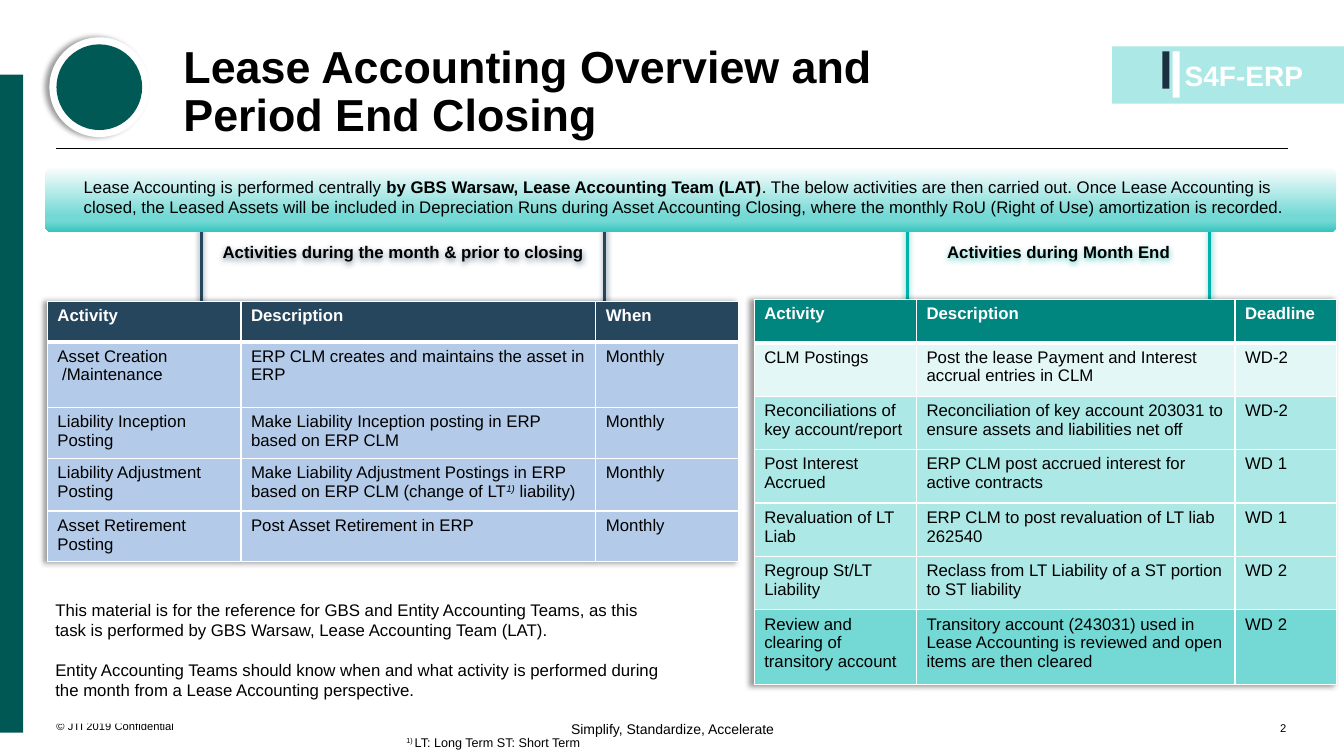
"""Build the lease accounting overview slide."""
from math import cos, pi, sin

from lxml.etree import SubElement
from pptx import Presentation
from pptx.dml.color import RGBColor as Rgb
from pptx.enum.shapes import MSO_CONNECTOR as Connector, MSO_SHAPE as Preset
from pptx.enum.text import MSO_ANCHOR as Anchor, PP_ALIGN as Align
from pptx.oxml.ns import qn
from pptx.util import Inches, Pt

COLOURS = {
    "black": "000000", "white": "FFFFFF", "forest": "005855", "badge": "005955",
    "navy": "26465E", "night": "1A3040", "teal": "00B2A9", "deep": "00857F",
    "blue": "B3CBE9", "frost": "E3F7F7", "mint": "ACE8E6", "aqua": "74D9D5",
    "mist": "F8FDFD", "sea": "36C4BE",
}

MONTH_ROWS = [
    ["Activity", "Description", "When"],
    ["Asset Creation\n /Maintenance",
     "ERP CLM creates and maintains the asset in ERP", "Monthly"],
    ["Liability Inception Posting",
     "Make Liability Inception posting in ERP based on ERP CLM", "Monthly"],
    ["Liability Adjustment Posting",
     [("Make Liability Adjustment Postings in ERP based on ERP CLM (change of LT", ""),
      ("1)", "italic super"), (" liability)", "")], "Monthly"],
    ["Asset Retirement Posting", "Post Asset Retirement in ERP", "Monthly"],
]
CLOSING_ROWS = [
    ["Activity", "Description", "Deadline"],
    ["CLM Postings", "Post the lease Payment and Interest accrual entries in CLM", "WD-2"],
    ["Reconciliations of key account/report",
     "Reconciliation of key account 203031 to ensure assets and liabilities net off", "WD-2"],
    ["Post Interest Accrued", "ERP CLM post accrued interest for active contracts", "WD 1"],
    ["Revaluation of LT Liab", "ERP CLM to post revaluation of LT liab 262540", "WD 1"],
    ["Regroup St/LT Liability",
     "Reclass from LT Liability of a ST portion to ST liability", "WD 2"],
    ["Review and clearing of transitory account",
     "Transitory account (243031) used in Lease Accounting is reviewed "
     "and open items are then cleared", "WD 2"],
]


class SlideBuilder:
    """Hold the style and the current slide."""

    def __init__(self, slide, font="Arial"):
        self.slide = slide
        self.font = font

    def colour(self, name):
        return Rgb.from_string(COLOURS[name])

    def set_text(self, frame, content, size=12, colour="black", bold=None,
                 align=Align.LEFT, anchor=Anchor.TOP, inset=0, gap=0, spacing=None):
        frame.word_wrap = True
        frame.vertical_anchor = anchor
        if inset is not None:
            frame.margin_left = frame.margin_right = Inches(inset)
            frame.margin_top = frame.margin_bottom = Inches(inset)
        parts = content.split("\n") if isinstance(content, str) else [content]
        for index, part in enumerate(parts):
            para = frame.paragraphs[0] if index == 0 else frame.add_paragraph()
            if isinstance(part, str):
                para.text = part
            else:
                for text, look in part:
                    span = para.add_run()
                    span.text = text
                    if "bold" in look:
                        span.font.bold = True
                    if "italic" in look:
                        span.font.italic = True
                    if "super" in look:
                        span.font._element.set("baseline", "30000")
            para.alignment = align
            if index and gap:
                para.space_before = Pt(gap)
            if spacing:
                para.line_spacing = spacing
            para.font.name = self.font
            para.font.size = Pt(size)
            para.font.bold = bold
            para.font.color.rgb = self.colour(colour)

    def text(self, place, content, **style):
        box = self.slide.shapes.add_textbox(*map(Inches, place))
        self.set_text(box.text_frame, content, **style)

    def shape(self, preset, place, fill, adjust=None):
        shape = self.slide.shapes.add_shape(preset, *map(Inches, place))
        shape.shadow.inherit = False
        shape.line.fill.background()
        shape.fill.solid()
        shape.fill.fore_color.rgb = self.colour(fill)
        if adjust is not None:
            shape.adjustments[0] = adjust
        return shape

    def gradient(self, shape, stops):
        shape.fill.gradient()
        shape.fill.gradient_angle = 270
        stop_list = shape._element.spPr.find(".//" + qn("a:gsLst"))
        for stop in list(stop_list):
            stop_list.remove(stop)
        for position, name in stops:
            stop = SubElement(stop_list, qn("a:gs"), pos=str(position * 1000))
            SubElement(stop, qn("a:srgbClr"), val=COLOURS[name])

    def shadow(self, effects, colour, alpha, blur, distance, angle):
        cast = SubElement(effects, qn("a:outerShdw"), blurRad=str(Pt(blur)),
                          dist=str(Pt(distance)), dir=str(angle * 60000),
                          algn="ctr", rotWithShape="0")
        tint = SubElement(cast, qn("a:srgbClr"), val=COLOURS[colour])
        SubElement(tint, qn("a:alpha"), val=str(alpha * 1000))

    def shape_shadow(self, shape, *style):
        shape.shadow.inherit = False
        self.shadow(shape._element.spPr.find(qn("a:effectLst")), *style)

    def rule(self, left, right, top):
        line = self.slide.shapes.add_connector(
            Connector.STRAIGHT, *map(Inches, (left, top, right, top)))
        line.line.color.rgb = self.colour("black")
        line.line.width = Pt(0.75)
        SubElement(line._element.spPr, qn("a:effectLst"))

    def tag(self, left, top, width, height, content, colour):
        across, down, steps = 0.06 * width, 0.05, 8
        corners = [(left + width - across, top + height - down),
                   (left + across, top + height - down),
                   (left + across, top + down), (left + width - across, top + down)]
        points = []
        for quarter, (x, y) in enumerate(corners):
            for step in range(steps + 1):
                angle = (quarter + step / steps) * pi / 2
                points.append((x + across * cos(angle), y + down * sin(angle)))
        outline = self.slide.shapes.build_freeform(*points[0], scale=Inches(1))
        outline.add_line_segments(points[1:], close=True)
        frame = outline.convert_to_shape()
        frame.fill.background()
        frame.line.color.rgb = self.colour(colour)
        frame.line.width = Pt(2.25)
        self.shape_shadow(frame, colour, 63, 4.5, 1.5, 90)
        self.set_text(frame.text_frame, content, bold=True, align=Align.CENTER,
                      anchor=Anchor.MIDDLE, inset=0.04)

    def border(self, cell, row):
        weights = {"L": 1, "R": 1, "T": 3 if row == 1 else 1, "B": 1 if row else 3}
        for side, weight in weights.items():
            edge = SubElement(cell._tc.get_or_add_tcPr(), qn("a:ln" + side),
                              w=str(Pt(weight)))
            paint = SubElement(edge, qn("a:solidFill"))
            SubElement(paint, qn("a:srgbClr"), val=COLOURS["white"])

    def table(self, left, top, widths, heights, rows, fills):
        size = (sum(widths), sum(heights))
        table = self.slide.shapes.add_table(
            len(rows), len(widths), *map(Inches, (left, top, *size))).table
        table.horz_banding = False
        effects = SubElement(table._tbl.tblPr, qn("a:effectLst"))
        table._tbl.tblPr.insert(0, effects)
        self.shadow(effects, "black", 40, 4, 3, 180)
        for column, width in zip(table.columns, widths):
            column.width = Inches(width)
        for index, (values, height, fill) in enumerate(zip(rows, heights, fills)):
            table.rows[index].height = Inches(height)
            for cell, value in zip(table.rows[index].cells, values):
                self.border(cell, index)
                cell.fill.solid()
                cell.fill.fore_color.rgb = self.colour(fill)
                self.set_text(cell.text_frame, value, bold=index == 0, inset=None,
                              colour="black" if index else "white")


def main():
    deck = Presentation()
    deck.slide_width, deck.slide_height = Inches(13.33), Inches(7.5)
    page = SlideBuilder(deck.slides.add_slide(deck.slide_layouts[6]))

    page.text((0.56, 6.87, 1.97, 0.4), "© JTI 2019 Confidential", size=8, anchor=Anchor.BOTTOM)
    page.rule(0.56, 12.77, 1.47)
    page.text((5.14, 7.15, 3.06, 0.3), "Simplify, Standardize, Accelerate",
              size=10, align=Align.CENTER)
    page.shape(Preset.RECTANGLE, (11.03, 0.46, 2.3, 0.57), "mint")
    page.shape(Preset.RECTANGLE, (11.53, 0.51, 0.07, 0.37), "night")
    page.shape(Preset.ROUNDED_RECTANGLE, (11.63, 0.51, 0.07, 0.46), "white", 0.07)
    page.text((11.75, 0.58, 1.25, 0.5), "S4F-ERP", size=20, colour="white", bold=True)
    page.shape(Preset.RECTANGLE, (0, 0.74, 0.23, 6.53), "forest")
    ring = page.shape(Preset.OVAL, (0.49, 0.37, 0.99, 0.99), "white")
    page.shape_shadow(ring, "black", 40, 4, 3, 180)
    page.shape(Preset.OVAL, (0.56, 0.44, 0.85, 0.85), "badge")
    page.text((12.33, 6.89, 0.43, 0.4), "2", size=8, align=Align.RIGHT, anchor=Anchor.BOTTOM)
    page.text((1.82, 0.32, 9.74, 1.08), "Lease Accounting Overview and\vPeriod End Closing",
              size=32, bold=True, anchor=Anchor.BOTTOM, spacing=0.9)

    page.tag(1.82, 2.4, 3.82, 0.48, "Activities during the month & prior to closing", "navy")
    page.tag(9.12, 2.4, 2.73, 0.48, "Activities during Month End", "teal")
    page.table(0.47, 2.99, [1.92, 3.52, 1.42], [0.4, 0.65, 0.51, 0.52, 0.48],
               MONTH_ROWS, ["navy"] + ["blue"] * 4)
    banner = page.shape(Preset.ROUNDED_RECTANGLE, (0.45, 1.67, 12.8, 0.63), "aqua", 0.09)
    page.gradient(banner, [(0, "mist"), (74, "aqua"), (83, "aqua"), (100, "sea")])
    page.text((0.83, 1.75, 11.99, 0.48), [
        ("Lease Accounting is performed centrally ", ""),
        ("by GBS Warsaw, Lease Accounting Team (LAT)", "bold"),
        (". The below activities are then carried out. Once Lease Accounting is closed, "
         "the Leased Assets will be included in Depreciation Runs during Asset Accounting "
         "Closing, where the monthly RoU (Right of Use) amortization is recorded.", "")])
    page.text((4.03, 7.29, 2.18, 0.21),
              [("1) ", "super"), ("LT: Long Term ST: Short Term", "")], size=9)
    page.table(7.48, 2.97, [1.61, 3.16, 1.01], [0.43] + [0.53] * 5 + [0.74],
               CLOSING_ROWS, ["deep", "frost"] + ["mint"] * 4 + ["aqua"])
    note = page.shape(Preset.RECTANGLE, (0.45, 5.72, 6.28, 1.46), "white")
    page.set_text(note.text_frame,
                  "This material is for the reference for GBS and Entity Accounting Teams, as "
                  "this task is performed by GBS Warsaw, Lease Accounting Team (LAT).\n"
                  "Entity Accounting Teams should know when and what activity is performed "
                  "during the month from a Lease Accounting perspective.",
                  anchor=Anchor.MIDDLE, inset=0.1, gap=14)
    deck.save("out.pptx")


if __name__ == "__main__":
    main()
